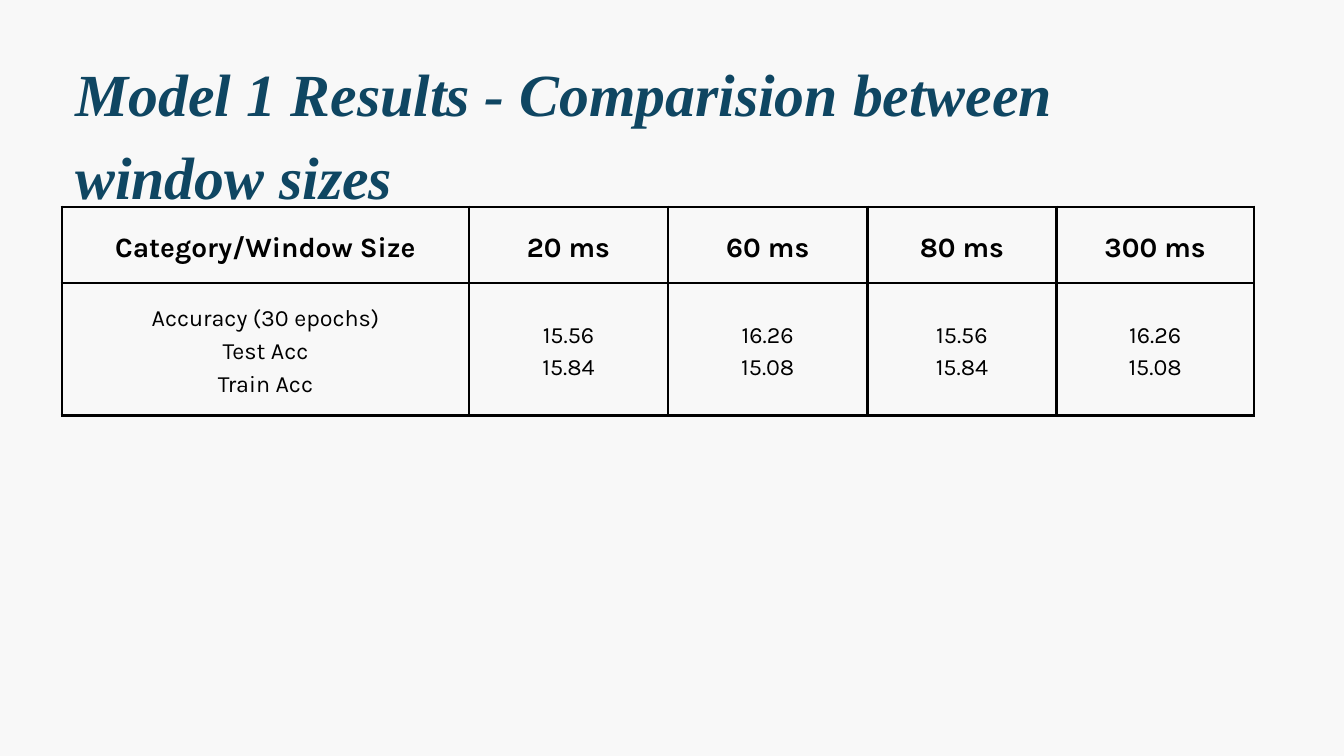
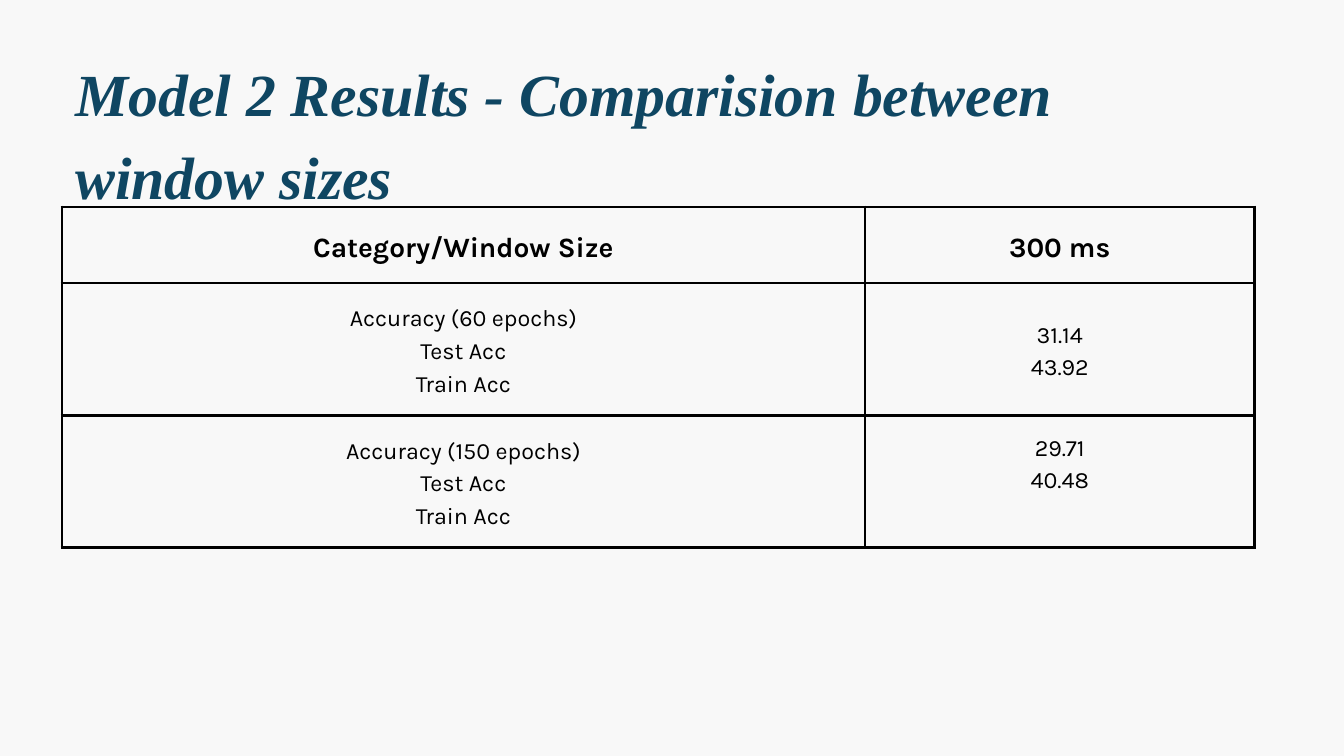
import pptx
import pptx.dml.color
import pptx.enum.text
import pptx.oxml
import pptx.oxml.ns
import pptx.util
from lxml import etree

Inches, Pt = pptx.util.Inches, pptx.util.Pt
ALIGN, ANCHOR = pptx.enum.text.PP_ALIGN, pptx.enum.text.MSO_ANCHOR

WIDTH, HEIGHT = 20, 11.25
PAPER, INK, TITLE_COLOUR = "F8F8F8", "000000", "0F4662"
TITLE_FONT, TABLE_FONT = "Times New Roman", "Karla"
TITLE_BOX = (1.12, 0.66, 15.39, 2.43)
TABLE_LEFT, TABLE_TOP = 0.92, 3.08
HEADER_HEIGHT, ROW_HEIGHT = 1.13, 1.97
CELL_MARGIN, BORDER = 0.21, 3
LINE_RATIO = 1.4  # line spacing relative to the text size

CORNER = "Category/Window Size"
MEASURES = ["Test Acc", "Train Acc"]

# Each row holds its first label and one (test, train) pair per window size.
RESULTS = [
    {
        "title": "Model 1 Results - Comparision between window sizes",
        "columns": [6.06, 2.96, 2.97, 2.81, 2.94],
        "windows": ["20 ms", "60 ms", "80 ms", "300 ms"],
        "rows": [
            ("Accuracy (30 epochs)", [("15.56", "15.84"), ("16.26", "15.08"),
                                      ("15.56", "15.84"), ("16.26", "15.08")]),
        ],
        "top_cells": [],
    },
    {
        "title": "Model 2 Results - Comparision between window sizes",
        "columns": [11.95, 5.8],
        "windows": ["300 ms"],
        "rows": [
            ("Accuracy (60 epochs)", [("31.14", "43.92")]),
            ("Accuracy (150 epochs)", [("29.71", "40.48")]),
        ],
        "top_cells": [(2, 1)],
    },
]


def colour(value):
    return pptx.dml.color.RGBColor.from_string(value)


def style_paragraph(para, font_name, size, text_colour, bold=False, italic=False):
    para.line_spacing = Pt(size * LINE_RATIO)
    font = para.font
    font.name, font.size = font_name, Pt(size)
    font.bold, font.italic = bold, italic
    font.color.rgb = colour(text_colour)


def add_borders(cell):
    """Outline all four sides; border elements must precede the fill."""
    properties = cell._tc.get_or_add_tcPr()
    for position, side in enumerate(("lnL", "lnR", "lnT", "lnB")):
        line = etree.Element(pptx.oxml.ns.qn(f"a:{side}"), w=str(Pt(BORDER)))
        fill = etree.SubElement(line, pptx.oxml.ns.qn("a:solidFill"))
        etree.SubElement(fill, pptx.oxml.ns.qn("a:srgbClr"), val=INK)
        properties.insert(position, line)


def fill_cell(cell, lines, size, bold, anchor):
    cell.fill.background()
    add_borders(cell)
    cell.margin_left = cell.margin_right = Inches(CELL_MARGIN)
    cell.margin_top = cell.margin_bottom = Inches(CELL_MARGIN)
    cell.vertical_anchor = anchor
    cell.text_frame.text = "\n".join(lines)
    for para in cell.text_frame.paragraphs:
        para.alignment = ALIGN.CENTER
        style_paragraph(para, TABLE_FONT, size, INK, bold)


def add_title(page, text):
    title = page.shapes.title
    title.left, title.top, title.width, title.height = map(Inches, TITLE_BOX)
    frame = title.text_frame
    frame.margin_left = frame.margin_right = frame.margin_top = frame.margin_bottom = 0
    frame.vertical_anchor = ANCHOR.TOP
    frame.word_wrap = True
    frame.auto_size = pptx.enum.text.MSO_AUTO_SIZE.NONE
    frame.text = text
    para = frame.paragraphs[0]
    para.alignment = ALIGN.LEFT
    style_paragraph(para, TITLE_FONT, 64, TITLE_COLOUR, bold=True, italic=True)


def add_results_table(page, result):
    grid = [[[text] for text in [CORNER] + result["windows"]]]
    grid += [[[label] + MEASURES] + scores for label, scores in result["rows"]]
    heights = [HEADER_HEIGHT] + [ROW_HEIGHT] * len(result["rows"])
    widths = result["columns"]
    frame = page.shapes.add_table(
        len(heights), len(widths), Inches(TABLE_LEFT), Inches(TABLE_TOP),
        Inches(sum(widths)), Inches(sum(heights)))
    table = frame.table
    table.first_row = table.horz_banding = False
    for column, width in zip(table.columns, widths):
        column.width = Inches(width)
    for row, height in zip(table.rows, heights):
        row.height = Inches(height)
    for r, cells in enumerate(grid):
        header = r == 0
        for c, lines in enumerate(cells):
            anchor = ANCHOR.TOP if (r, c) in result["top_cells"] else ANCHOR.MIDDLE
            fill_cell(table.cell(r, c), lines, 30 if header else 25, header, anchor)


def main():
    deck = pptx.Presentation()
    deck.slide_width, deck.slide_height = Inches(WIDTH), Inches(HEIGHT)
    background = deck.slide_master.background.fill
    background.solid()
    background.fore_color.rgb = colour(PAPER)
    title_only = deck.slide_layouts.get_by_name("Title Only")
    for result in RESULTS:
        page = deck.slides.add_slide(title_only)
        add_title(page, result["title"])
        add_results_table(page, result)
    deck.save("out.pptx")


if __name__ == "__main__":
    main()
